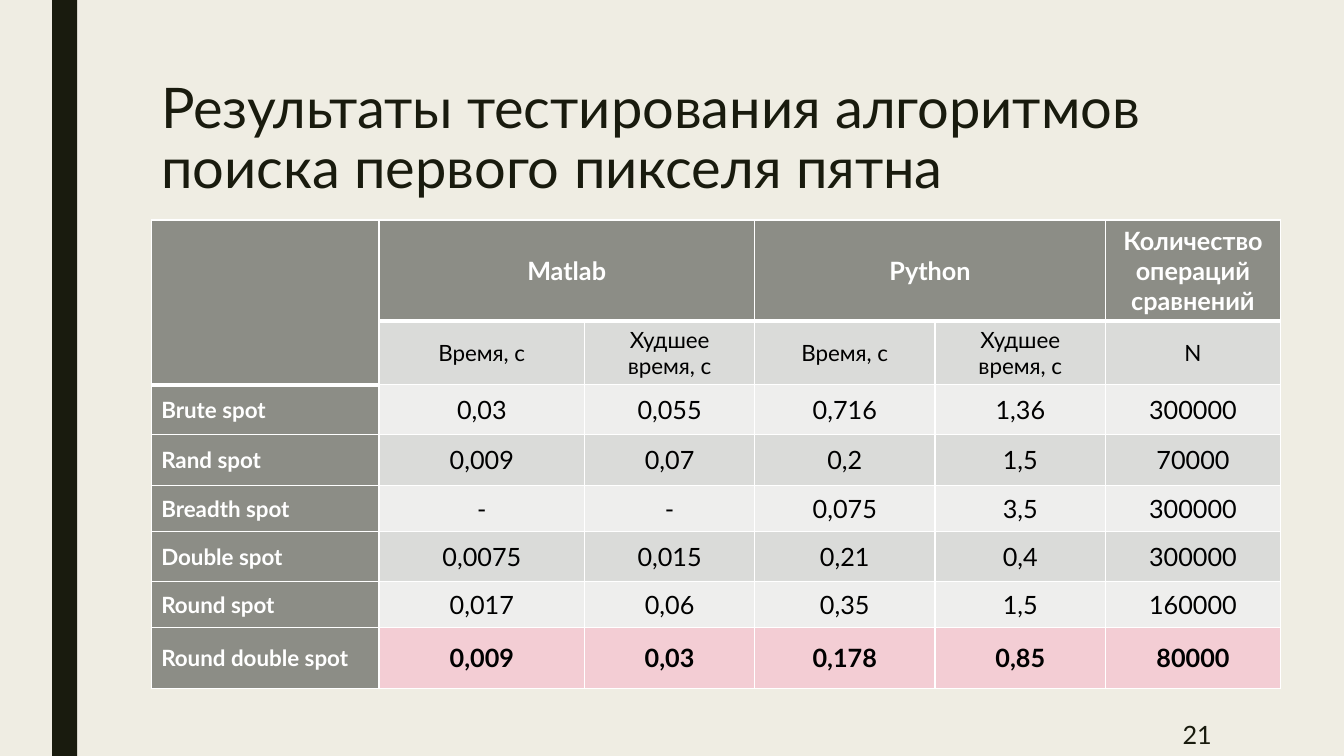
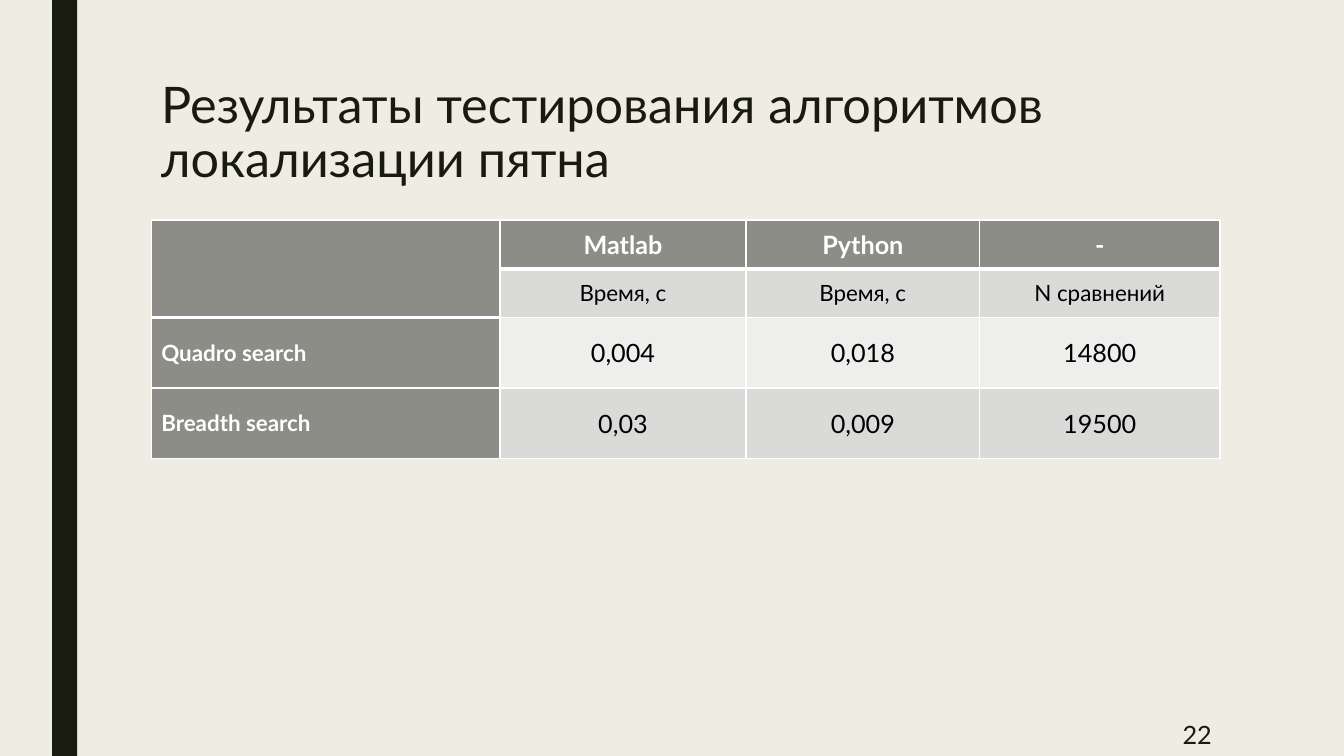
from lxml.etree import SubElement
from pptx import Presentation
from pptx.dml.color import RGBColor
from pptx.enum.shapes import MSO_SHAPE as Preset
from pptx.enum.text import MSO_ANCHOR as Anchor, PP_ALIGN as Align
from pptx.oxml.ns import qn
from pptx.util import Inches, Pt

COLORS = {
    "paper": "EFEDE3",
    "ink": "191B0E",
    "header": "8C8D86",
    "white": "FFFFFF",
    "black": "000000",
    "light": "EEEEED",
    "dark": "DADBD9",
    "accent": "F3CDD4",
}
FONT = "Lato"
SLIDE_WIDTH, SLIDE_HEIGHT = 13.33, 7.5
UNIT = 1 / 6  # grid step in inches: 80 columns by 45 rows
LEFT = 9  # column where titles and tables begin
THIN, THICK = Pt(1), Pt(3)

# Font attributes, text colour and alignment of each kind of cell
CELL_FORMATS = {
    "header": ({"size": Pt(18), "bold": True}, "white", Align.CENTER),
    "subheader": ({"size": Pt(16), "bold": False}, "black", Align.CENTER),
    "label": ({"size": Pt(16), "bold": True}, "white", Align.LEFT),
    "value": ({"size": Pt(18), "bold": False}, "black", Align.CENTER),
    "best": ({"size": Pt(18), "bold": True}, "black", Align.CENTER),
}

TIME, WORST_TIME = "Время, с", "Худшее время, с"
PIXEL_SEARCH = [
    ["", "Matlab", "", "Python", "", "Количество операций сравнений"],
    ["", TIME, WORST_TIME, TIME, WORST_TIME, "N"],
    ["Brute spot", "0,03", "0,055", "0,716", "1,36", "300000"],
    ["Rand spot", "0,009", "0,07", "0,2", "1,5", "70000"],
    ["Breadth spot", "-", "-", "0,075", "3,5", "300000"],
    ["Double spot", "0,0075", "0,015", "0,21", "0,4", "300000"],
    ["Round spot", "0,017", "0,06", "0,35", "1,5", "160000"],
    ["Round double spot", "0,009", "0,03", "0,178", "0,85", "80000"],
]
LOCALIZATION = [
    ["", "Matlab", "Python", "-"],
    ["", TIME, TIME, "N сравнений"],
    ["Quadro search", "0,004", "0,018", "14800"],
    ["Breadth search", "0,03", "0,009", "19500"],
]


def color(name):
    return RGBColor.from_string(COLORS[name])


def grid(*steps):
    return [Inches(step * UNIT) for step in steps]


def paint(target, name):
    target.fill.solid()
    target.fill.fore_color.rgb = color(name)


def cell_role(row, column, best_row):
    if row == 0 or (row, column) == (1, 0):
        return "header"
    if column == 0:
        return "label"
    if row == 1:
        return "subheader"
    return "best" if row == best_row else "value"


def cell_fill(role, row):
    if role in ("header", "label"):
        return "header"
    if role == "best":
        return "accent"
    return "dark" if row % 2 else "light"


def lower_edge(row, column):
    """Width of the line below a cell; header cells end in a thick one."""
    return THICK if row == 0 or (row, column) == (1, 0) else THIN


def draw_borders(cell, row, column):
    properties = cell._tc.get_or_add_tcPr()
    widths = {
        "a:lnL": THIN,
        "a:lnR": THIN,
        "a:lnT": lower_edge(row - 1, column),
        "a:lnB": lower_edge(row, column),
    }
    for tag, width in widths.items():
        line = SubElement(properties, qn(tag), w=str(int(width)))
        fill = SubElement(line, qn("a:solidFill"))
        SubElement(fill, qn("a:srgbClr"), val=COLORS["white"])


class Deck:
    def __init__(self):
        self.presentation = Presentation()
        self.presentation.slide_width = Inches(SLIDE_WIDTH)
        self.presentation.slide_height = Inches(SLIDE_HEIGHT)
        self.slide = None

    def add_slide(self, number):
        """Start a slide with its background, side band and number."""
        layout = self.presentation.slide_layouts[6]
        self.slide = self.presentation.slides.add_slide(layout)
        paint(self.slide.background, "paper")
        self.add_band(3.1, 0, 1.5, 45)
        frame = self.add_textbox(62.2, 42.4, 10.5, 2.6)
        frame.vertical_anchor = Anchor.MIDDLE
        self.add_text(frame, str(number), {"size": Pt(18)}, "ink", Align.RIGHT)

    def add_band(self, *box):
        band = self.slide.shapes.add_shape(Preset.RECTANGLE, *grid(*box))
        band.shadow.inherit = False
        band.line.fill.background()
        paint(band, "ink")

    def add_textbox(self, *box):
        frame = self.slide.shapes.add_textbox(*grid(*box)).text_frame
        frame.word_wrap = True
        return frame

    def add_text(self, frame, text, font_format, text_color, alignment):
        paragraph = frame.paragraphs[0]
        paragraph.alignment = alignment
        run = paragraph.add_run()
        run.text = text
        for attribute, value in {"name": FONT, **font_format}.items():
            setattr(run.font, attribute, value)
        run.font.color.rgb = color(text_color)
        return paragraph

    def add_title(self, text, size):
        frame = self.add_textbox(LEFT, 4.5, 63, 8)
        paragraph = self.add_text(frame, text, {"size": Pt(size)}, "ink", Align.LEFT)
        paragraph.line_spacing = 0.89

    def add_table(self, data, widths, heights, merges, best_row=None):
        """Draw a table; merges pairs the first and last cell of each span."""
        box = grid(LEFT, 13.1, sum(widths), sum(heights))
        table = self.slide.shapes.add_table(len(heights), len(widths), *box).table
        table.first_row = table.horz_banding = False
        for column, width in zip(table.columns, grid(*widths)):
            column.width = width
        for row, height in zip(table.rows, grid(*heights)):
            row.height = height
        for row, texts in enumerate(data):
            for column, text in enumerate(texts):
                role = cell_role(row, column, best_row)
                cell = table.cell(row, column)
                cell.vertical_anchor = Anchor.MIDDLE
                draw_borders(cell, row, column)
                paint(cell, cell_fill(role, row))
                if text:
                    self.add_text(cell.text_frame, text, *CELL_FORMATS[role])
        for first, last in merges:
            table.cell(*first).merge(table.cell(*last))


def main():
    deck = Deck()

    deck.add_slide(21)
    deck.add_title("Результаты тестирования алгоритмов поиска первого пикселя пятна", 40)
    deck.add_table(
        PIXEL_SEARCH,
        widths=[13.55, 12.25, 10.1, 10.75, 10.15, 10.4],
        heights=[6, 3.8, 2.95, 3.05, 2.75, 2.95, 2.75, 3.65],
        merges=[((0, 0), (1, 0)), ((0, 1), (0, 2)), ((0, 3), (0, 4))],
        best_row=7,
    )

    deck.add_slide(22)
    deck.add_title("Результаты тестирования алгоритмов локализации пятна", 36)
    deck.add_table(
        LOCALIZATION,
        widths=[20.75, 14.65, 13.9, 14.3],
        heights=[2.9, 2.9, 4.2, 4.2],
        merges=[((0, 0), (1, 0))],
    )

    deck.presentation.save("out.pptx")


if __name__ == "__main__":
    main()
